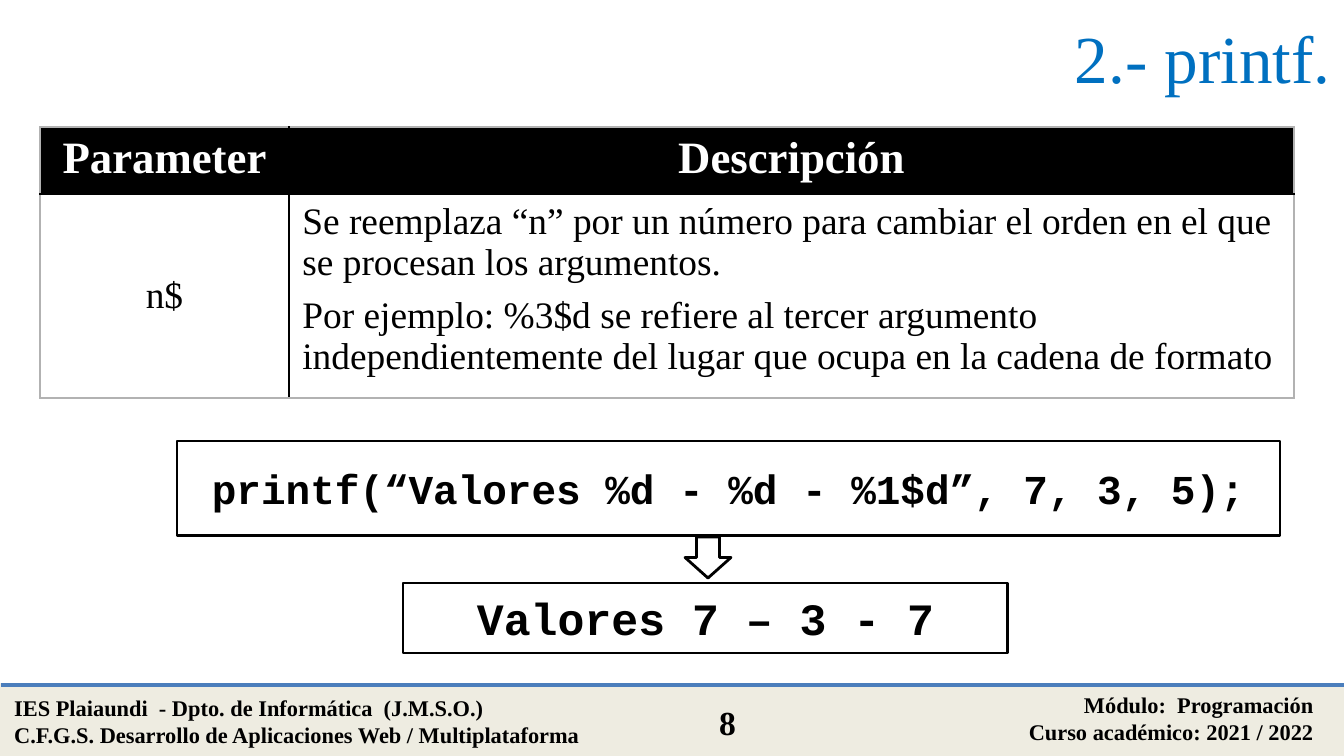
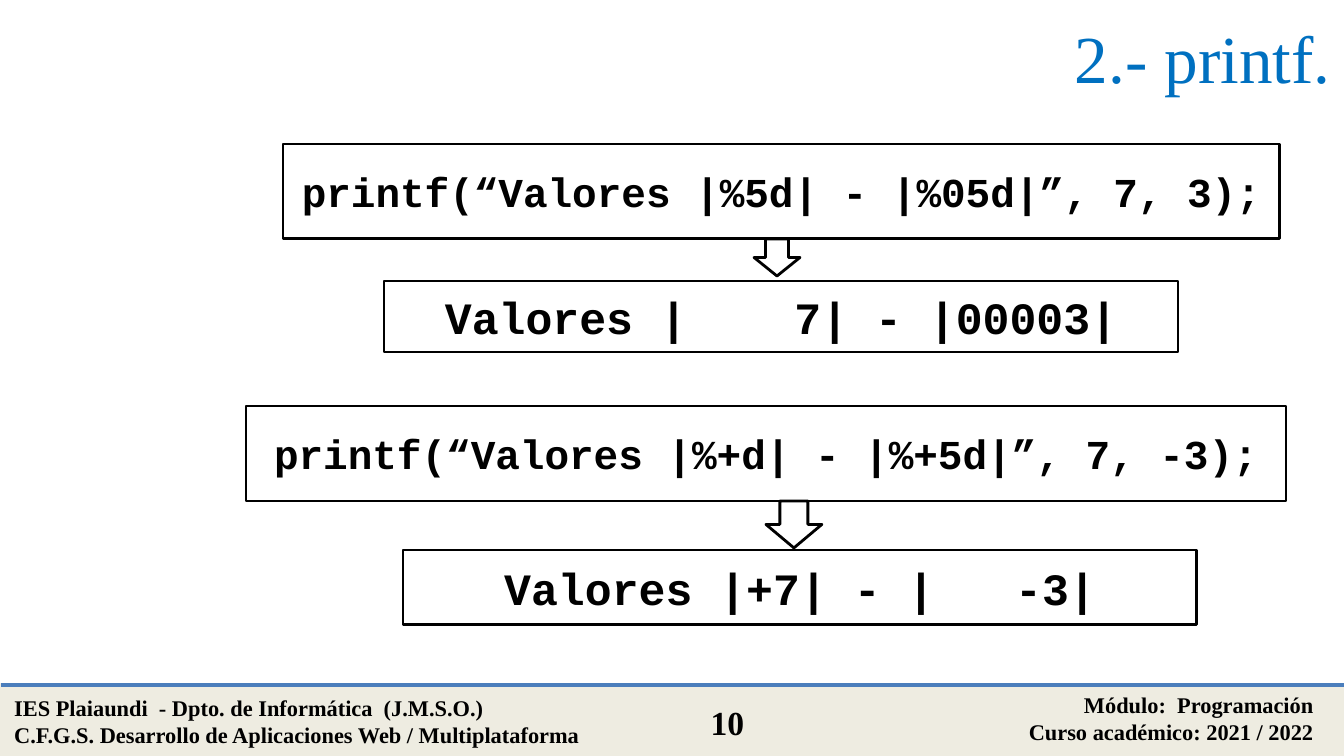
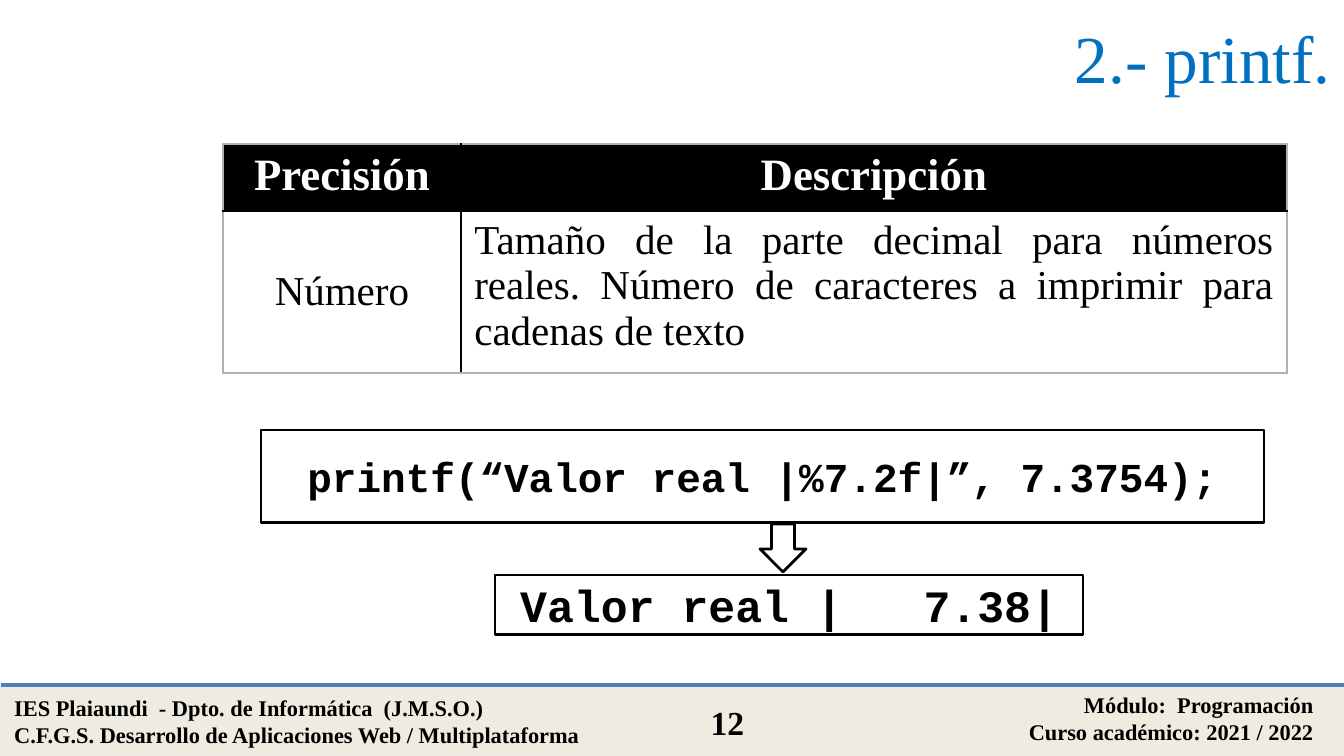
"""Build three slides on printf parameters, flags and precision."""
from lxml import etree
from pptx import Presentation
from pptx.dml.color import RGBColor
from pptx.enum.shapes import MSO_CONNECTOR, MSO_SHAPE
from pptx.enum.text import MSO_ANCHOR, MSO_AUTO_SIZE, PP_ALIGN
from pptx.oxml.ns import qn
from pptx.util import Emu, Pt

RECT, ARROW, LINE = MSO_SHAPE.RECTANGLE, MSO_SHAPE.DOWN_ARROW, MSO_CONNECTOR.STRAIGHT
LEFT, MID, RIGHT, FULL = PP_ALIGN.LEFT, PP_ALIGN.CENTER, PP_ALIGN.RIGHT, PP_ALIGN.JUSTIFY
TOP, CENTRE = MSO_ANCHOR.TOP, MSO_ANCHOR.MIDDLE
FIT, FIXED = MSO_AUTO_SIZE.SHAPE_TO_FIT_TEXT, MSO_AUTO_SIZE.NONE
SCALE = 914400 / 134.4

SERIF, MONO = "Times New Roman", "Courier New"
THEME = {
    "ink": "000000", "paper": "FFFFFF", "blue": "0070C0",
    "band": "EEECE1", "rule": "4B7EBC", "edge": "B2B2B2",
    "title": {"name": SERIF, "size": Pt(36), "bold": False},
    "foot": {"name": SERIF, "size": Pt(12), "bold": True},
    "page": {"name": SERIF, "size": Pt(18), "bold": True},
    "head": {"name": SERIF, "size": Pt(24), "bold": True},
    "small": {"name": SERIF, "size": Pt(20), "bold": False},
    "large": {"name": SERIF, "size": Pt(22), "bold": False},
    "code": {"name": MONO, "size": Pt(22), "bold": True},
    "out": {"name": MONO, "size": Pt(24), "bold": True},
}

FOOTER = [
    ((1, 688, 626, 67), LEFT, "foot",
     ["IES Plaiaundi  - Dpto. de Informática  (J.M.S.O.)",
      "C.F.G.S. Desarrollo de Aplicaciones Web / Multiplataforma"]),
    ((789, 685, 538, 67), RIGHT, "foot",
     ["Módulo:  Programación", "Curso académico: 2021 / 2022"]),
]

SLIDES = [
    {"page": "8",
     "table": {"at": (40, 127), "cols": (249, 1005), "rows": (63, 190),
               "look": "small", "align": LEFT, "heads": ("Parameter", "Descripción"),
               "body": (["n$"],
                        ["Se reemplaza “n” por un número para cambiar el orden en el que "
                         "se procesan los argumentos.",
                         "Por ejemplo: %3$d se refiere al tercer argumento "
                         "independientemente del lugar que ocupa en la cadena de formato"])},
     "flows": [("printf(“Valores %d - %d - %1$d”, 7, 3, 5);", (177, 441, 1103, 95),
                "Valores 7 – 3 - 7", (403, 583, 605, 70), (685, 537, 46, 41))]},
    {"page": "10",
     "flows": [("printf(“Valores |%5d| - |%05d|”, 7, 3);", (283, 144, 997, 95),
                "Valores |    7| - |00003|", (384, 281, 794, 71), (754, 239, 46, 37)),
               ("printf(“Valores |%+d| - |%+5d|”, 7, -3);", (246, 406, 1040, 95),
                "Valores |+7| - |   -3|", (403, 550, 794, 75), (766, 501, 56, 47))]},
    {"page": "12",
     "table": {"at": (223, 144), "cols": (238, 826), "rows": (67, 162),
               "look": "large", "align": FULL, "heads": ("Precisión", "Descripción"),
               "body": (["Número"],
                        ["Tamaño de la parte decimal para números reales. Número de "
                         "caracteres a imprimir para cadenas de texto"])},
     "flows": [("printf(“Valor real |%7.2f|”, 7.3754);", (261, 430, 1003, 93),
                "Valor real |   7.38|", (495, 575, 588, 60), (760, 524, 46, 48))]},
]


def px(*spans):
    return [Emu(round(span * SCALE)) for span in spans]


def write(frame, lines, look, align, tint="ink", gap=0):
    frame.word_wrap = True
    for row, line in enumerate(lines):
        para = frame.paragraphs[0] if row == 0 else frame.add_paragraph()
        para.text, para.alignment = line, align
        if row and gap:
            para.space_before = Pt(gap)
        font = para.runs[0].font
        for key, value in THEME[look].items():
            setattr(font, key, value)
        font.color.rgb = RGBColor.from_string(THEME[tint])


deck = Presentation()
deck.slide_width, deck.slide_height = px(1344, 756)

for plan in SLIDES:
    slide = deck.slides.add_slide(deck.slide_layouts[5])
    shapes = slide.shapes
    title = shapes.title
    title.left, title.top, title.width, title.height = px(177, 0, 1167, 113)
    title.text_frame.auto_size = FIXED
    title.text_frame.vertical_anchor = CENTRE
    write(title.text_frame, ["2.- printf."], "title", RIGHT, "blue")

    foot = shapes.add_group_shape().shapes
    band = foot.add_shape(RECT, *px(1, 685, 1343, 70))
    rule = foot.add_connector(LINE, *px(1, 685, 1344, 685))
    rule.line.color.rgb = RGBColor.from_string(THEME["rule"])
    rule.line.width = Pt(2)
    etree.SubElement(rule._element.spPr, qn("a:effectLst"))
    page = ((673, 695, 109, 54), MID, "page", [plan["page"]])
    for area, align, look, lines in [*FOOTER, page]:
        note = foot.add_textbox(*px(*area))
        write(note.text_frame, lines, look, align)
        note.text_frame.auto_size = FIT

    if "table" in plan:
        data = plan["table"]
        cols, rows = data["cols"], data["rows"]
        grid = shapes.add_table(2, 2, *px(*data["at"], sum(cols), sum(rows))).table
        grid.horz_banding = False
        for track, sizes in ((grid.columns, cols), (grid.rows, rows)):
            for part, size in zip(track, px(*sizes)):
                if track is grid.columns:
                    part.width = size
                else:
                    part.height = size
        texts = [[[head] for head in data["heads"]], data["body"]]
        for row in range(2):
            for col in range(2):
                cell = grid.cell(row, col)
                outer = {"lnL": col == 0, "lnR": col == 1, "lnT": row == 0, "lnB": row == 1}
                for side, edge in outer.items():
                    border = etree.SubElement(cell._tc.get_or_add_tcPr(), qn("a:" + side), w=str(Pt(1)))
                    fill = etree.SubElement(border, qn("a:solidFill"))
                    etree.SubElement(fill, qn("a:srgbClr"), val=THEME["edge" if edge else "ink"])
                cell.fill.solid()
                cell.fill.fore_color.rgb = RGBColor.from_string(THEME["paper" if row else "ink"])
                cell.vertical_anchor = CENTRE if row and col == 0 else TOP
                write(cell.text_frame, texts[row][col], data["look"] if row else "head",
                      data["align"] if row and col else MID, "ink" if row else "paper", 6)

    drawn = [(band, "band", "band", 2)]
    for code, source, result, target, arrow in plan["flows"]:
        for text, area, look in ((code, source, "code"), (result, target, "out")):
            box = shapes.add_shape(RECT, *px(*area))
            box.text_frame.vertical_anchor = CENTRE
            write(box.text_frame, [text], look, MID)
            drawn.append((box, None, "ink", 1.5))
        drawn.append((shapes.add_shape(ARROW, *px(*arrow)), None, "ink", 1.5))
    for shape, fill, line, weight in drawn:
        shape.shadow.inherit = False
        if fill:
            shape.fill.solid()
            shape.fill.fore_color.rgb = RGBColor.from_string(THEME[fill])
        else:
            shape.fill.background()
        shape.line.color.rgb = RGBColor.from_string(THEME[line])
        shape.line.width = Pt(weight)

deck.save("out.pptx")
